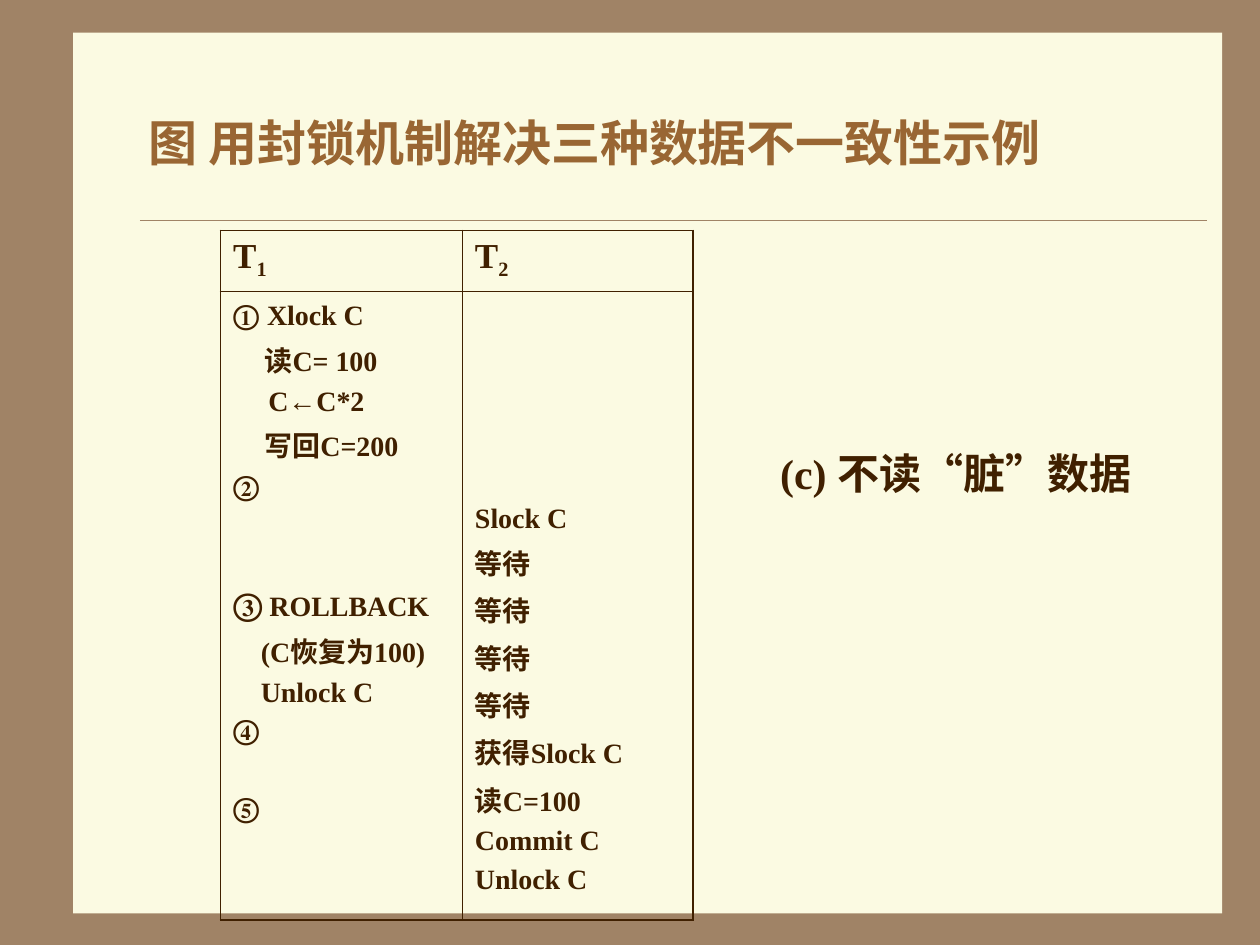
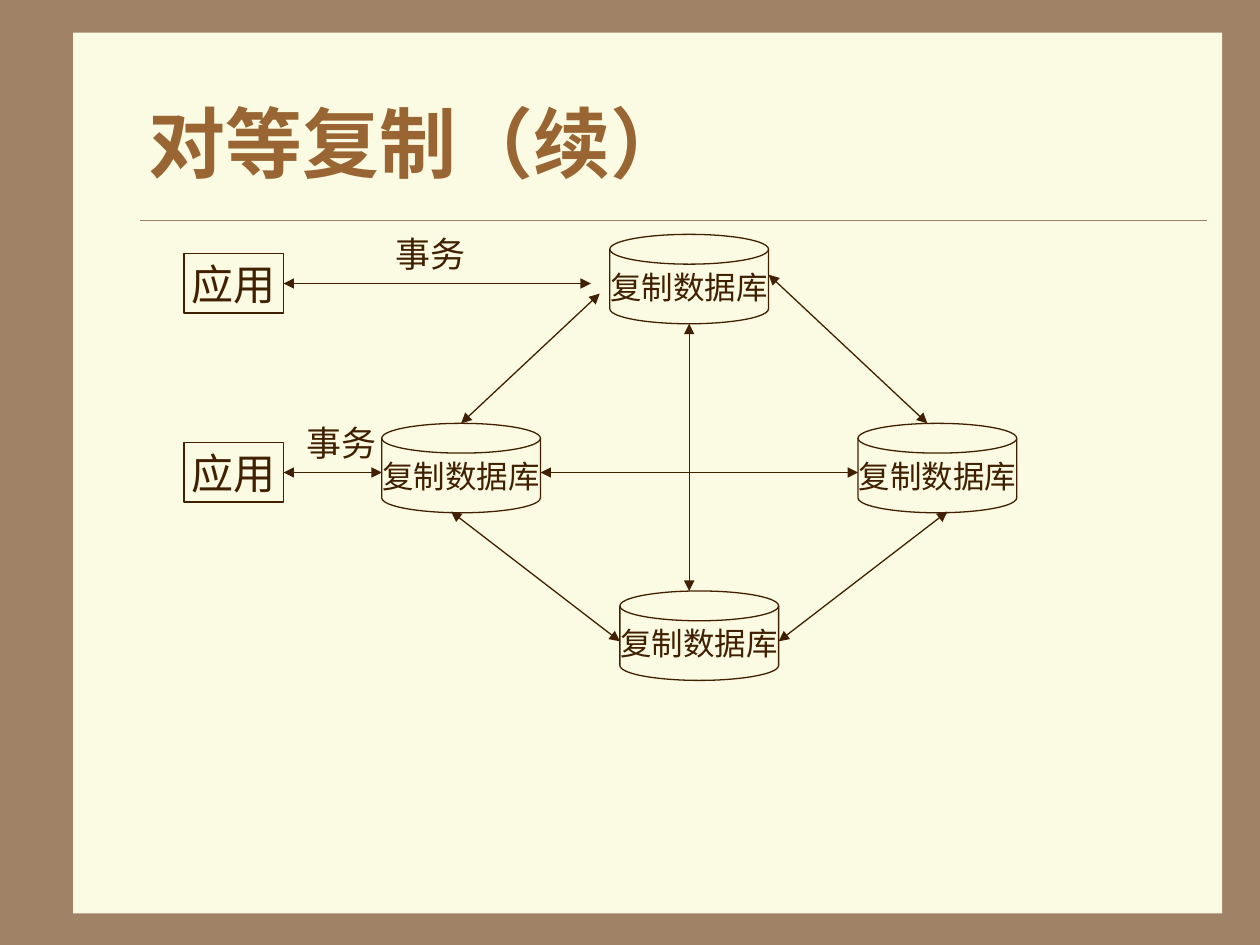
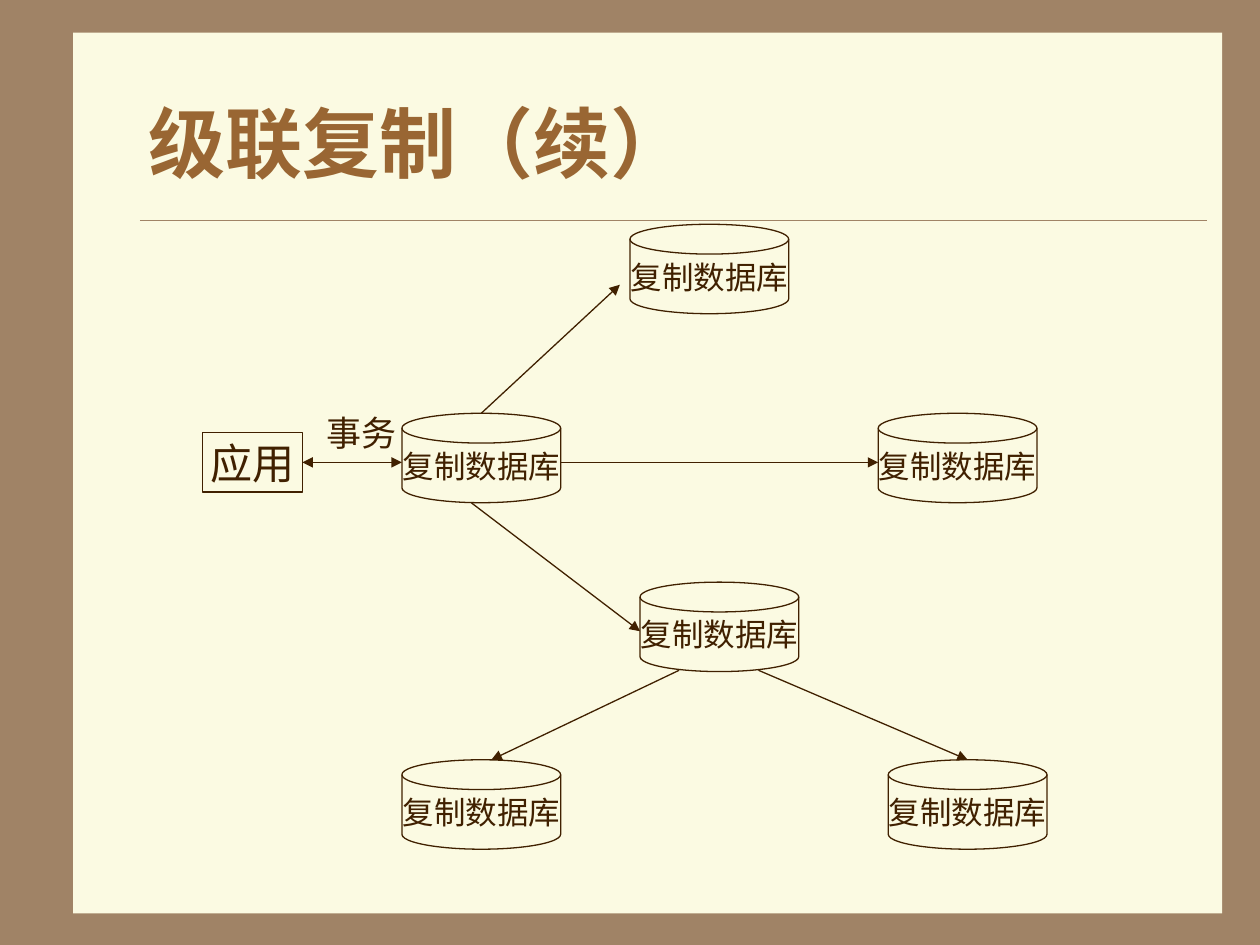
"""Builds three database slides: locking, peer replication and cascade replication."""
from lxml import etree
from pptx import Presentation
from pptx import util as u
from pptx.dml.color import RGBColor
from pptx.enum import shapes, text
from pptx.oxml.ns import qn

COLOURS = {"frame": "A08366", "panel": "FBFAE2", "title": "996633", "ink": "402000"}
FONT = "Times New Roman"
DISK_WIDTH, DISK_HEIGHT = 1.26, 0.71
BOX_WIDTH, BOX_HEIGHT = 0.79, 0.47


def colour(name):
    return RGBColor.from_string(COLOURS[name])


class Deck:
    def __init__(self):
        self.presentation = Presentation()
        self.presentation.slide_width = u.Inches(10)
        self.presentation.slide_height = u.Inches(7.5)
        background = self.presentation.slide_master.background.fill
        background.solid()
        background.fore_color.rgb = colour("frame")
        self.slide = None

    def add_slide(self, title, size=44):
        layout = self.presentation.slide_layouts.get_by_name("Title Only")
        self.slide = self.presentation.slides.add_slide(layout)
        placeholder = self.slide.shapes.title
        placeholder.left, placeholder.top = u.Inches(1.08), u.Inches(0.5)
        placeholder.width, placeholder.height = u.Inches(8.5), u.Inches(1.25)
        self.set_text(placeholder, title, size, "title", True, text.PP_ALIGN.LEFT, True)

        panel = self.add_shape(shapes.MSO_SHAPE.RECTANGLE, 0.58, 0.26, 9.12, 6.99)
        panel.fill.solid()
        panel.fill.fore_color.rgb = colour("panel")
        panel.line.fill.background()
        rule = self.add_line((1.11, 1.75), (9.58, 1.75), "frame", 0.25)
        for part in (panel, rule):
            placeholder.element.addprevious(part.element)

    def format_font(self, font, size, name="ink", bold=False):
        font.name, font.size, font.bold = FONT, u.Pt(size), bold
        font.color.rgb = colour(name)

    def set_text(self, shape, words, size, name="ink", bold=False,
                 alignment=text.PP_ALIGN.CENTER, wrap=False):
        frame = shape.text_frame
        frame.text = words
        frame.word_wrap = wrap
        frame.auto_size = text.MSO_AUTO_SIZE.NONE
        frame.vertical_anchor = text.MSO_ANCHOR.MIDDLE
        paragraph = frame.paragraphs[0]
        paragraph.alignment = alignment
        self.format_font(paragraph.runs[0].font, size, name, bold)

    def add_shape(self, kind, left, top, width, height):
        shape = self.slide.shapes.add_shape(
            kind, u.Inches(left), u.Inches(top), u.Inches(width), u.Inches(height))
        shape.shadow.inherit = False
        shape.fill.background()
        shape.line.color.rgb = colour("ink")
        shape.line.width = u.Pt(0.75)
        return shape

    def add_label(self, words, left, top, width, height, size, bold=False):
        label = self.slide.shapes.add_textbox(
            u.Inches(left), u.Inches(top), u.Inches(width), u.Inches(height))
        self.set_text(label, words, size, bold=bold)

    def add_line(self, start, end, name="ink", width=0.75, arrows=()):
        points = [u.Inches(value) for value in (*start, *end)]
        line = self.slide.shapes.add_connector(shapes.MSO_CONNECTOR.STRAIGHT, *points)
        line.line.color.rgb = colour(name)
        line.line.width = u.Pt(width)
        properties = line.element.spPr
        for arrow in arrows:
            etree.SubElement(properties.find(qn("a:ln")), qn(f"a:{arrow}"), type="triangle")
        etree.SubElement(properties, qn("a:effectLst"))
        return line

    def add_arrow(self, start, end):
        return self.add_line(start, end, arrows=("tailEnd",))

    def add_double_arrow(self, start, end):
        return self.add_line(start, end, arrows=("headEnd", "tailEnd"))

    def add_database(self, left, top):
        disk = self.add_shape(shapes.MSO_SHAPE.FLOWCHART_MAGNETIC_DISK,
                              left, top, DISK_WIDTH, DISK_HEIGHT)
        self.set_text(disk, "复制数据库", 18)

    def add_application(self, left, middle, arrow_end, label_left):
        box = self.add_shape(shapes.MSO_SHAPE.RECTANGLE, left, middle - BOX_HEIGHT / 2,
                             BOX_WIDTH, BOX_HEIGHT)
        self.set_text(box, "应用", 24)
        arrow = self.add_double_arrow((left + BOX_WIDTH, middle), (arrow_end, middle))
        arrow.begin_connect(box, 3)
        self.add_label("事务", label_left, middle - 0.39, 1.1, 0.31, 20)

    def add_table(self, left, top, widths, heights):
        graphic = self.slide.shapes.add_table(
            len(heights), len(widths), u.Inches(left), u.Inches(top),
            u.Inches(sum(widths)), u.Inches(sum(heights)))
        table = graphic.table
        table.first_row = table.horz_banding = False
        for column, width in zip(table.columns, widths):
            column.width = u.Inches(width)
        for row, height in zip(table.rows, heights):
            row.height = u.Inches(height)
        last_row, last_column = len(heights) - 1, len(widths) - 1
        for i, row in enumerate(table.rows):
            for j, cell in enumerate(row.cells):
                outer = {"lnL": j == 0, "lnR": j == last_column,
                         "lnT": i == 0, "lnB": i == last_row}
                self.set_borders(cell, outer)
                cell.fill.background()
        return table

    def set_borders(self, cell, outer):
        properties = cell._tc.get_or_add_tcPr()
        for side, is_outer in outer.items():
            width = u.Pt(1.08 if is_outer else 0.45)
            border = etree.SubElement(properties, qn(f"a:{side}"), w=str(width))
            fill = etree.SubElement(border, qn("a:solidFill"))
            etree.SubElement(fill, qn("a:srgbClr"), val=COLOURS["ink"])

    def set_heading(self, cell, letter, index):
        paragraph = cell.text_frame.paragraphs[0]
        for words in (letter, index):
            run = paragraph.add_run()
            run.text = words
            self.format_font(run.font, 20, bold=True)
        run._r.get_or_add_rPr().set("baseline", "-25000")

    def set_steps(self, cell, steps):
        frame = cell.text_frame
        for i, (pieces, indent, before) in enumerate(steps):
            paragraph = frame.add_paragraph() if i else frame.paragraphs[0]
            paragraph._p.get_or_add_pPr().set("marL", str(u.Inches(indent)))
            if i:
                paragraph.space_before = u.Pt(before)
            for words, size in pieces:
                run = paragraph.add_run()
                run.text = words
                self.format_font(run.font, size, bold=True)


def step(words, indent=0, before=4):
    return [(words, 16)], indent, before


def add_locking_slide(deck):
    deck.add_slide("图 用封锁机制解决三种数据不一致性示例", 28)
    table = deck.add_table(1.75, 1.83, (1.92, 1.83), (0.48, 4.99))
    for column, index in enumerate("12"):
        deck.set_heading(table.cell(0, column), "T", index)
    deck.set_steps(table.cell(1, 0), [
        ([("①", 16), (" ", 18), ("Xlock C", 16)], 0, 0),
        step("读C= 100", 0.25),
        step("C←C*2", 0.28),
        step("写回C=200", 0.25),
        step("②"),
        ([("③", 18), (" ROLLBACK", 16)], 0, 48.8),
        step("(C恢复为100)", 0.22),
        step("Unlock C", 0.22),
        step("④"),
        step("⑤", before=26.4),
    ])
    second = table.cell(1, 1)
    second.margin_top = u.Inches(1.69)
    lines = ["Slock C", *["等待"] * 4, "获得Slock C", "读C=100", "Commit C", "Unlock C"]
    deck.set_steps(second, [step(line) for line in lines])
    deck.add_label("(c) 不读“脏”数据", 6.17, 3.42, 2.83, 0.67, 24, bold=True)


def add_peer_slide(deck):
    deck.add_slide("对等复制（续）")
    for left, top in ((4.84, 1.86), (3.03, 3.36), (6.81, 3.36), (4.92, 4.69)):
        deck.add_database(left, top)
    deck.add_application(1.46, 2.25, 4.69, 2.87)
    deck.add_application(1.46, 3.75, 3.03, 2.16)
    for start, end in (
        ((4.76, 2.33), (3.66, 3.36)),
        ((4.29, 3.75), (6.81, 3.75)),
        ((5.47, 2.57), (5.47, 4.69)),
        ((6.1, 2.18), (7.36, 3.36)),
        ((3.58, 4.06), (4.92, 5.09)),
        ((7.52, 4.06), (6.18, 5.09)),
    ):
        deck.add_double_arrow(start, end)


def add_cascade_slide(deck):
    deck.add_slide("级联复制（续）")
    for left, top in ((5, 1.78), (3.19, 3.28), (6.97, 3.28), (5.08, 4.62),
                      (3.19, 6.03), (7.05, 6.03)):
        deck.add_database(left, top)
    deck.add_application(1.61, 3.67, 3.19, 2.32)
    for start, end in (
        ((3.82, 3.28), (4.92, 2.26)),
        ((4.45, 3.67), (6.97, 3.67)),
        ((3.74, 3.99), (5.08, 5.01)),
        ((5.39, 5.32), (3.9, 6.03)),
        ((6.02, 5.32), (7.68, 6.03)),
    ):
        deck.add_arrow(start, end)


def main():
    deck = Deck()
    add_locking_slide(deck)
    add_peer_slide(deck)
    add_cascade_slide(deck)
    deck.presentation.save("out.pptx")


if __name__ == "__main__":
    main()
